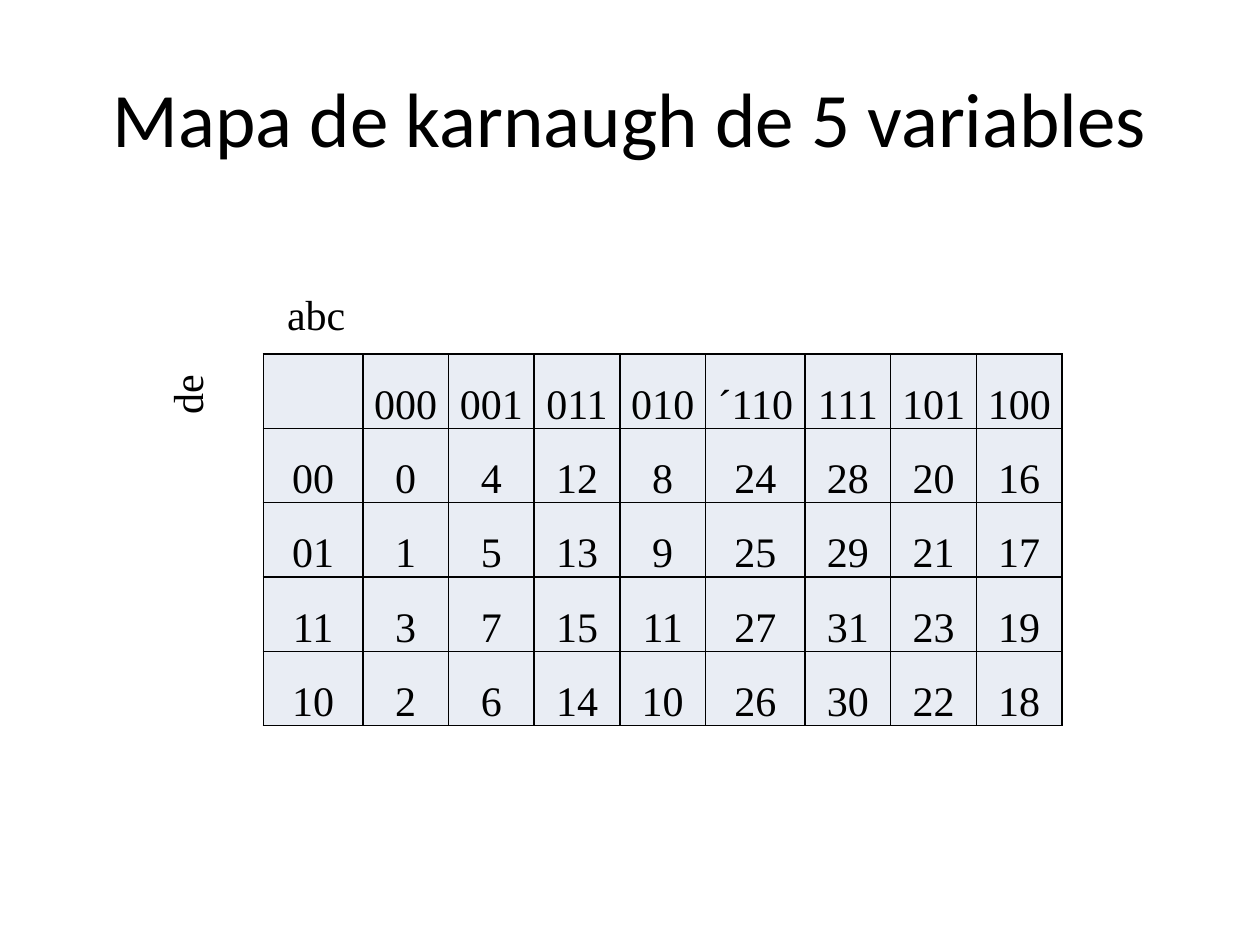
from lxml.etree import SubElement
from pptx import Presentation
from pptx.dml.color import RGBColor
from pptx.enum.text import MSO_ANCHOR as Anchor, PP_ALIGN as Align
from pptx.oxml.ns import qn
from pptx.util import Inches, Pt

BLACK = RGBColor(0x00, 0x00, 0x00)
PALE_BLUE = RGBColor(0xE9, 0xED, 0xF4)

TITLE_FONT = {"name": "Calibri", "size": Pt(44)}
MAP_FONT = {"name": "Times New Roman", "size": Pt(24)}

ABC_CODES = ["000", "001", "011", "010", "110", "111", "101", "100"]
DE_CODES = ["00", "01", "11", "10"]
HEADINGS = {"110": "´110"}

MAP_LEFT, MAP_TOP = 2.09, 2.81
ROW_HEIGHT = 0.59
NARROW, WIDE = 0.68, 0.79
WIDE_COLUMNS = (0, 5)


def set_attributes(target, values):
    for name, value in values.items():
        setattr(target, name, value)


def write(frame, text, font, align):
    para = frame.paragraphs[0]
    para.alignment = align
    span = para.add_run()
    span.text = text
    set_attributes(span.font, font)
    span.font.color.rgb = BLACK


def add_label(page, text, place, font, align=Align.LEFT, anchor=Anchor.TOP,
              wrap=False, rotation=0):
    box = page.shapes.add_textbox(*map(Inches, place))
    box.rotation = rotation
    set_attributes(box.text_frame, {"word_wrap": wrap, "vertical_anchor": anchor})
    write(box.text_frame, text, font, align)


def add_borders(cell):
    """Draw a thin black line on all four sides; must precede the cell fill."""
    properties = cell._tc.get_or_add_tcPr()
    for side in ("a:lnL", "a:lnR", "a:lnT", "a:lnB"):
        line = SubElement(properties, qn(side), w=str(Pt(1)))
        fill = SubElement(line, qn("a:solidFill"))
        SubElement(fill, qn("a:srgbClr"), val=str(BLACK))


def format_cell(cell, text):
    add_borders(cell)
    cell.fill.solid()
    cell.fill.fore_color.rgb = PALE_BLUE
    set_attributes(cell, {
        "vertical_anchor": Anchor.BOTTOM,
        "margin_left": Inches(0.01), "margin_right": Inches(0.01),
        "margin_top": Inches(0.01), "margin_bottom": 0,
    })
    if text:
        write(cell.text_frame, text, MAP_FONT, Align.CENTER)


def karnaugh_rows():
    """Each cell holds the minterm whose binary digits are abc followed by de."""
    header = [""] + [HEADINGS.get(abc, abc) for abc in ABC_CODES]
    body = [[de] + [str(int(abc + de, 2)) for abc in ABC_CODES] for de in DE_CODES]
    return [header] + body


def add_karnaugh_map(page):
    rows = karnaugh_rows()
    widths = [WIDE if i in WIDE_COLUMNS else NARROW for i in range(len(rows[0]))]
    place = (MAP_LEFT, MAP_TOP, sum(widths), ROW_HEIGHT * len(rows))
    table = page.shapes.add_table(len(rows), len(widths), *map(Inches, place)).table
    set_attributes(table, {"first_row": False, "horz_banding": False})
    for column, width in zip(table.columns, widths):
        column.width = Inches(width)
    for r, row in enumerate(rows):
        table.rows[r].height = Inches(ROW_HEIGHT)
        for c, text in enumerate(row):
            format_cell(table.cell(r, c), text)


def main():
    deck = Presentation()
    deck.slide_width, deck.slide_height = Inches(10), Inches(7.5)
    page = deck.slides.add_slide(deck.slide_layouts[6])
    add_label(page, "Mapa de karnaugh de 5 variables", (0.5, 0.3, 9, 1.25),
              TITLE_FONT, Align.CENTER, Anchor.MIDDLE, wrap=True)
    add_karnaugh_map(page)
    add_label(page, "abc", (2.18, 2.24, 0.67, 0.5), MAP_FONT)
    add_label(page, "de", (1.22, 2.88, 0.52, 0.5), MAP_FONT, rotation=270)
    deck.save("out.pptx")


if __name__ == "__main__":
    main()
